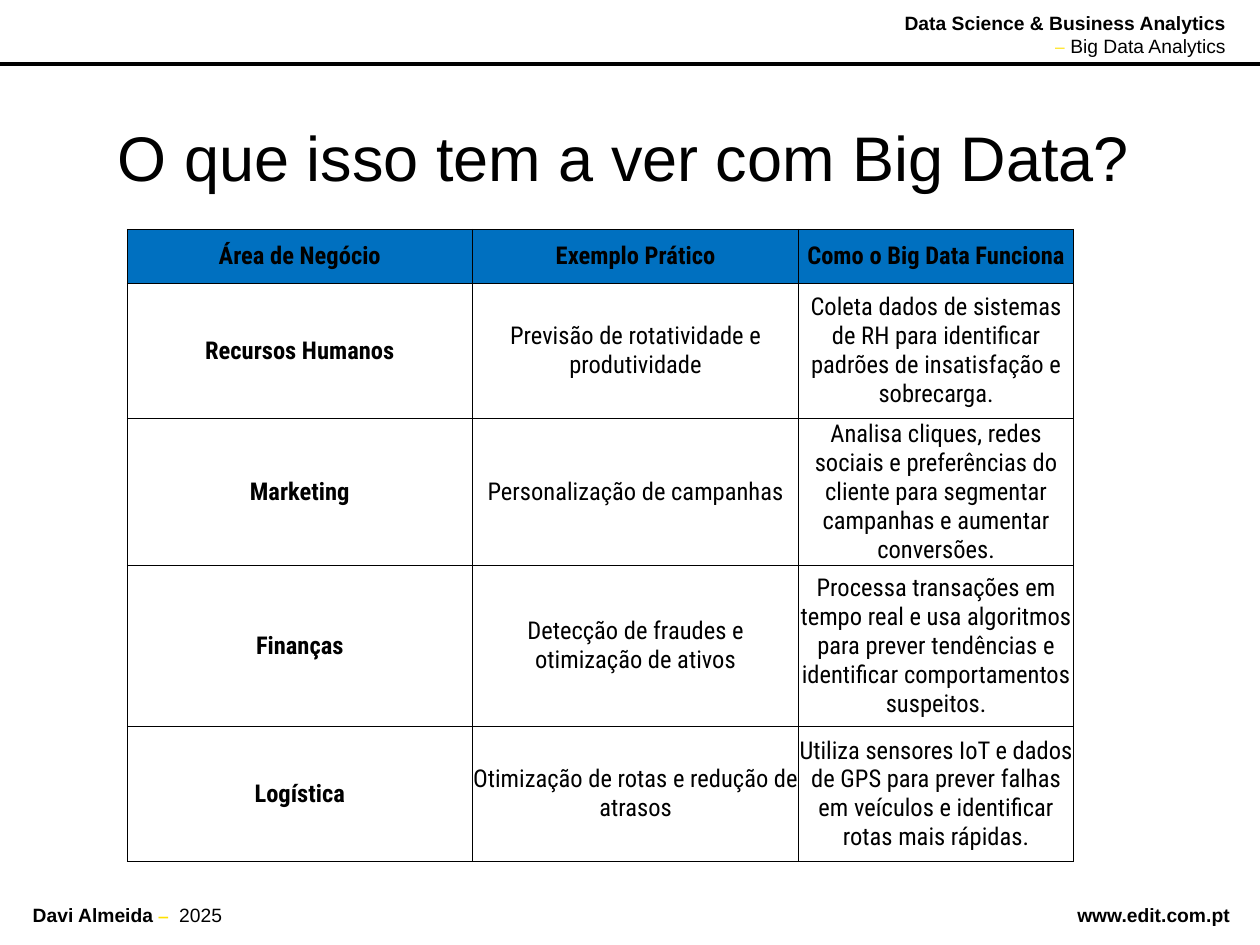
from lxml import etree
from pptx import Presentation
from pptx.dml.color import RGBColor
from pptx.enum.shapes import MSO_SHAPE
from pptx.enum.text import MSO_ANCHOR, MSO_AUTO_SIZE, PP_ALIGN
from pptx.oxml.ns import qn
from pptx.util import Inches, Pt

BLACK, YELLOW, BLUE = "000000", "FFE100", "0070C0"


def rgb(value):
    return RGBColor.from_string(value)


def add_label(left, top, width, height, lines, align=PP_ALIGN.LEFT):
    """Add a small text box; each line is a list of (text, colour, bold)."""
    tf = s.shapes.add_textbox(Inches(left), Inches(top), Inches(width), Inches(height)).text_frame
    tf.margin_left = tf.margin_right = tf.margin_top = tf.margin_bottom = Inches(0.04)
    tf.vertical_anchor = MSO_ANCHOR.MIDDLE
    tf.word_wrap = False
    tf.auto_size = MSO_AUTO_SIZE.SHAPE_TO_FIT_TEXT
    for i, line in enumerate(lines):
        p = tf.add_paragraph() if i else tf.paragraphs[0]
        p.alignment = align
        p.font.name, p.font.size = "Arial", Pt(11)
        for text, color, bold in line:
            r = p.add_run()
            r.text = text
            r.font.bold = bold
            r.font.color.rgb = rgb(color)


prs = Presentation()
prs.slide_width, prs.slide_height = Inches(10), Inches(7.5)
s = prs.slides.add_slide(prs.slide_layouts[5])

# Header and footer
add_label(7.12, 0.05, 2.65, 0.45, [
    [("Data Science & Business Analytics", BLACK, True)],
    [("⎯ ", YELLOW, False), ("Big Data Analytics", BLACK, False)],
], PP_ALIGN.RIGHT)
add_label(8.51, 7.13, 1.3, 0.26, [[("www.edit.com.pt", BLACK, True)]])
add_label(0.22, 7.13, 1.6, 0.26, [
    [("Davi Almeida ", BLACK, True), ("⎯  ", YELLOW, True), ("2025", BLACK, False)],
])

rule = s.shapes.add_shape(MSO_SHAPE.RECTANGLE, 0, Inches(0.5), Inches(10), Inches(0.02))
rule.shadow.inherit = False
rule.fill.solid()
rule.fill.fore_color.rgb = rgb(BLACK)
rule.line.color.rgb = rgb(BLACK)
rule.line.width = Pt(0.75)

# Title
title = s.shapes.title
title.left, title.top = Inches(0.2), Inches(0.96)
title.width, title.height = Inches(9.5), Inches(0.56)
tf = title.text_frame
tf.text = "O que isso tem a ver com Big Data?"
tf.margin_left = tf.margin_right = tf.margin_top = tf.margin_bottom = Inches(0.1)
tf.vertical_anchor = MSO_ANCHOR.MIDDLE
tf.auto_size = MSO_AUTO_SIZE.NONE
p = tf.paragraphs[0]
p.alignment = PP_ALIGN.CENTER
p.font.name, p.font.size = "Arial", Pt(36)
p.font.color.rgb = rgb(BLACK)

# Table
rows = [
    ("Área de Negócio", "Exemplo Prático", "Como o Big Data Funciona"),
    ("Recursos Humanos", "Previsão de rotatividade e produtividade",
     "Coleta dados de sistemas de RH para identificar padrões de insatisfação e sobrecarga."),
    ("Marketing", "Personalização de campanhas",
     "Analisa cliques, redes sociais e preferências do cliente para segmentar campanhas "
     "e aumentar conversões."),
    ("Finanças", "Detecção de fraudes e otimização de ativos",
     "Processa transações em tempo real e usa algoritmos para prever tendências "
     "e identificar comportamentos suspeitos."),
    ("Logística", "Otimização de rotas e redução de atrasos",
     "Utiliza sensores IoT e dados de GPS para prever falhas em veículos "
     "e identificar rotas mais rápidas."),
]
col_widths = [2.74, 2.59, 2.18]
row_heights = [0.43, 1.07, 1.12, 1.28, 1.07]

table = s.shapes.add_table(len(rows), len(col_widths), Inches(1.01), Inches(1.82),
                           Inches(sum(col_widths)), Inches(sum(row_heights))).table
for column, width in zip(table.columns, col_widths):
    column.width = Inches(width)
for row, height in zip(table.rows, row_heights):
    row.height = Inches(height)

for i, texts in enumerate(rows):
    for j, text in enumerate(texts):
        cell = table.cell(i, j)
        cell.text = text
        cell.margin_left = cell.margin_right = cell.margin_top = cell.margin_bottom = 0
        cell.vertical_anchor = MSO_ANCHOR.MIDDLE
        p = cell.text_frame.paragraphs[0]
        p.alignment = PP_ALIGN.CENTER
        p.font.name, p.font.size = "Roboto Condensed", Pt(14)
        p.font.bold = i == 0 or j == 0
        p.font.color.rgb = rgb(BLACK)
        tc_pr = cell._tc.get_or_add_tcPr()
        for side in ("a:lnL", "a:lnR", "a:lnT", "a:lnB"):
            ln = etree.SubElement(tc_pr, qn(side), w=str(Pt(0.5)))
            fill = etree.SubElement(ln, qn("a:solidFill"))
            etree.SubElement(fill, qn("a:srgbClr"), val=BLACK)
        if i == 0:
            cell.fill.solid()
            cell.fill.fore_color.rgb = rgb(BLUE)
        else:
            cell.fill.background()

prs.save("out.pptx")
